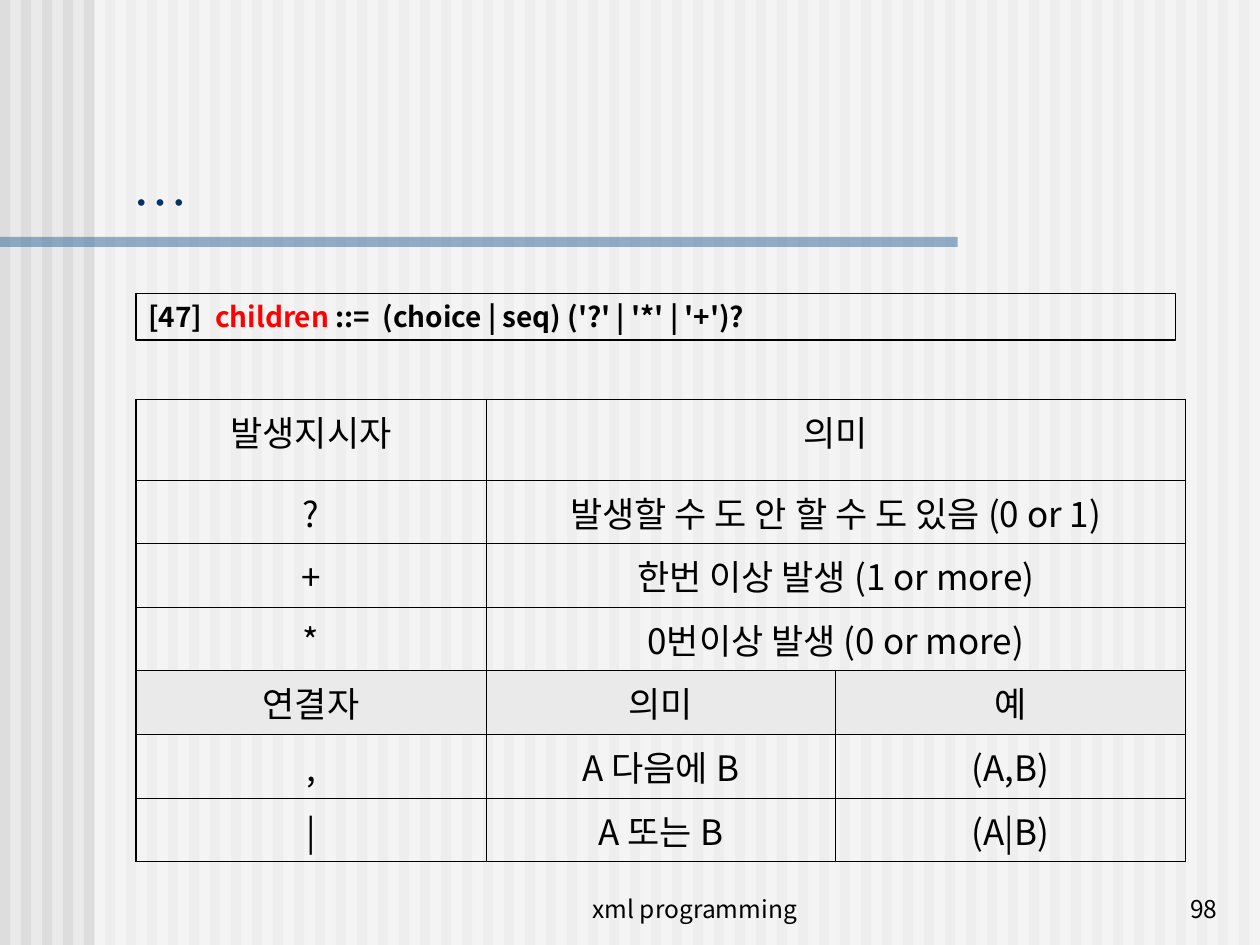
from dataclasses import dataclass

from lxml import etree
from pptx import Presentation
from pptx.dml.color import RGBColor
from pptx.enum.shapes import MSO_SHAPE
from pptx.enum.text import MSO_ANCHOR, PP_ALIGN
from pptx.oxml.ns import qn
from pptx.util import Inches, Pt

RECTANGLE = MSO_SHAPE.RECTANGLE
TOP, BOTTOM = MSO_ANCHOR.TOP, MSO_ANCHOR.BOTTOM
LEFT, CENTER, RIGHT = PP_ALIGN.LEFT, PP_ALIGN.CENTER, PP_ALIGN.RIGHT

COLORS = {
    "ground": "EAEAEA",
    "stripe": "DDDDDD",
    "veil": "FFFFFF",
    "rule": "336699",
    "title": "003366",
    "text": "000000",
    "keyword": "FF0000",
}
BODY_FONT = "Noto Sans CJK KR"
TITLE_FONT = "Times New Roman"
SLIDE_WIDTH, SLIDE_HEIGHT = 10, 7.5
STRIPE_COUNT = 60
OUTER_BORDER, INNER_BORDER = 1.08, 0.45
TABLE_HEIGHT, FIRST_ROW_HEIGHT = 3.67, 0.64
COLUMN_COUNT = 3


@dataclass(frozen=True)
class Bar:
    left: float
    top: float
    width: float
    height: float
    color: str
    opacity: int = 100


@dataclass(frozen=True)
class Label:
    text: str
    left: float
    top: float
    width: float
    height: float
    size: int
    align: PP_ALIGN
    font: str = BODY_FONT
    color: str = "text"


@dataclass(frozen=True)
class Row:
    texts: tuple[str, ...]
    shaded: bool = False


BARS = [
    *(
        Bar(i * SLIDE_WIDTH / STRIPE_COUNT, 0, 0.08, SLIDE_HEIGHT, "stripe")
        for i in range(STRIPE_COUNT)
    ),
    Bar(0.75, 0, 9.25, SLIDE_HEIGHT, "veil", 50),
    Bar(0, 1.88, 7.6, 0.08, "rule", 50),
]
LABELS = [
    Label("xml programming", 3.93, 6.88, 3.17, 0.5, 14, CENTER),
    Label("98", 7.68, 6.88, 2.08, 0.5, 14, RIGHT),
    Label("…", 0.95, 1.14, 8.93, 0.63, 32, LEFT, TITLE_FONT, "title"),
]
GRAMMAR = [
    ("[47]  ", "text"),
    ("children", "keyword"),
    (" ::=  (choice | seq) ('?' | '*' | '+')?", "text"),
]
ROWS = [
    Row(("발생지시자", "의미")),
    Row(("?", "발생할 수 도 안 할 수 도 있음 (0 or 1)")),
    Row(("+", "한번 이상 발생 (1 or more)")),
    Row(("*", "0번이상 발생 (0 or more)")),
    Row(("연결자", "의미", "예"), shaded=True),
    Row((",", "A 다음에 B", "(A,B)")),
    Row(("|", "A 또는 B", "(A|B)")),
]


def rgb(name: str) -> RGBColor:
    return RGBColor.from_string(COLORS[name])


def style_run(run, size: int, color: str, font: str = BODY_FONT, bold: bool = False) -> None:
    run.font.size = Pt(size)
    run.font.bold = bold
    run.font.color.rgb = rgb(color)
    run.font.name = font
    east_asian = etree.SubElement(run.font._element, qn("a:ea"))
    east_asian.set("typeface", BODY_FONT)


def draw_bar(slide, bar: Bar) -> None:
    strip = slide.shapes.add_shape(
        RECTANGLE, Inches(bar.left), Inches(bar.top), Inches(bar.width), Inches(bar.height)
    )
    strip.shadow.inherit = False
    strip.line.fill.background()
    strip.fill.solid()
    strip.fill.fore_color.rgb = rgb(bar.color)
    if bar.opacity < 100:
        tint = strip._element.spPr.find(qn("a:solidFill"))[0]
        etree.SubElement(tint, qn("a:alpha")).set("val", str(bar.opacity * 1000))


def draw_label(slide, label: Label) -> None:
    box = slide.shapes.add_textbox(
        Inches(label.left), Inches(label.top), Inches(label.width), Inches(label.height)
    )
    frame = box.text_frame
    frame.word_wrap = True
    frame.vertical_anchor = BOTTOM
    frame.text = label.text
    paragraph = frame.paragraphs[0]
    paragraph.alignment = label.align
    style_run(paragraph.runs[0], label.size, label.color, label.font)


def draw_grammar(slide) -> None:
    rule_box = slide.shapes.add_shape(
        RECTANGLE, Inches(1.08), Inches(2.33), Inches(8.25), Inches(0.37)
    )
    rule_box.shadow.inherit = False
    rule_box.fill.background()
    rule_box.line.color.rgb = rgb("text")
    rule_box.line.width = Pt(0.75)
    frame = rule_box.text_frame
    frame.word_wrap = True
    frame.vertical_anchor = TOP
    paragraph = frame.paragraphs[0]
    paragraph.alignment = LEFT
    for text, color in GRAMMAR:
        run = paragraph.add_run()
        run.text = text
        style_run(run, 16, color, bold=True)


def set_borders(cell, widths: dict[str, float]) -> None:
    properties = cell._tc.get_or_add_tcPr()
    for position, (side, width) in enumerate(widths.items()):
        border = etree.Element(qn(f"a:{side}"), w=str(Pt(width)))
        paint = etree.SubElement(border, qn("a:solidFill"))
        etree.SubElement(paint, qn("a:srgbClr")).set("val", COLORS["text"])
        properties.insert(position, border)


def fill_cell(cell, text: str, shaded: bool) -> None:
    if shaded:
        cell.fill.solid()
        cell.fill.fore_color.rgb = rgb("ground")
    else:
        cell.fill.background()
    cell.vertical_anchor = TOP
    cell.text = text
    paragraph = cell.text_frame.paragraphs[0]
    paragraph.alignment = CENTER
    for run in paragraph.runs:
        style_run(run, 20, "text")


def draw_table(slide) -> None:
    table = slide.shapes.add_table(
        len(ROWS), COLUMN_COUNT, Inches(1.08), Inches(3.17), Inches(8.33), Inches(TABLE_HEIGHT)
    ).table
    table.first_row = False
    table.horz_banding = False
    last_row, last_column = len(ROWS) - 1, COLUMN_COUNT - 1
    body_height = (TABLE_HEIGHT - FIRST_ROW_HEIGHT) / last_row
    for r, row in enumerate(ROWS):
        table.rows[r].height = Inches(body_height if r else FIRST_ROW_HEIGHT)
        merged = len(row.texts) < COLUMN_COUNT
        if merged:
            table.cell(r, 1).merge(table.cell(r, last_column))
        for c in range(COLUMN_COUNT):
            cell = table.cell(r, c)
            fill_cell(cell, row.texts[c] if c < len(row.texts) else "", row.shaded)
            outer = {
                "lnL": c == 0,
                "lnR": c == last_column or (merged and c == 1),
                "lnT": r == 0,
                "lnB": r == last_row,
            }
            set_borders(
                cell, {side: OUTER_BORDER if edge else INNER_BORDER for side, edge in outer.items()}
            )


def main() -> None:
    deck = Presentation()
    deck.slide_width, deck.slide_height = Inches(SLIDE_WIDTH), Inches(SLIDE_HEIGHT)
    slide = deck.slides.add_slide(deck.slide_layouts[6])
    slide.background.fill.solid()
    slide.background.fill.fore_color.rgb = rgb("ground")
    for bar in BARS:
        draw_bar(slide, bar)
    for label in LABELS:
        draw_label(slide, label)
    draw_grammar(slide)
    draw_table(slide)
    deck.save("out.pptx")


if __name__ == "__main__":
    main()
